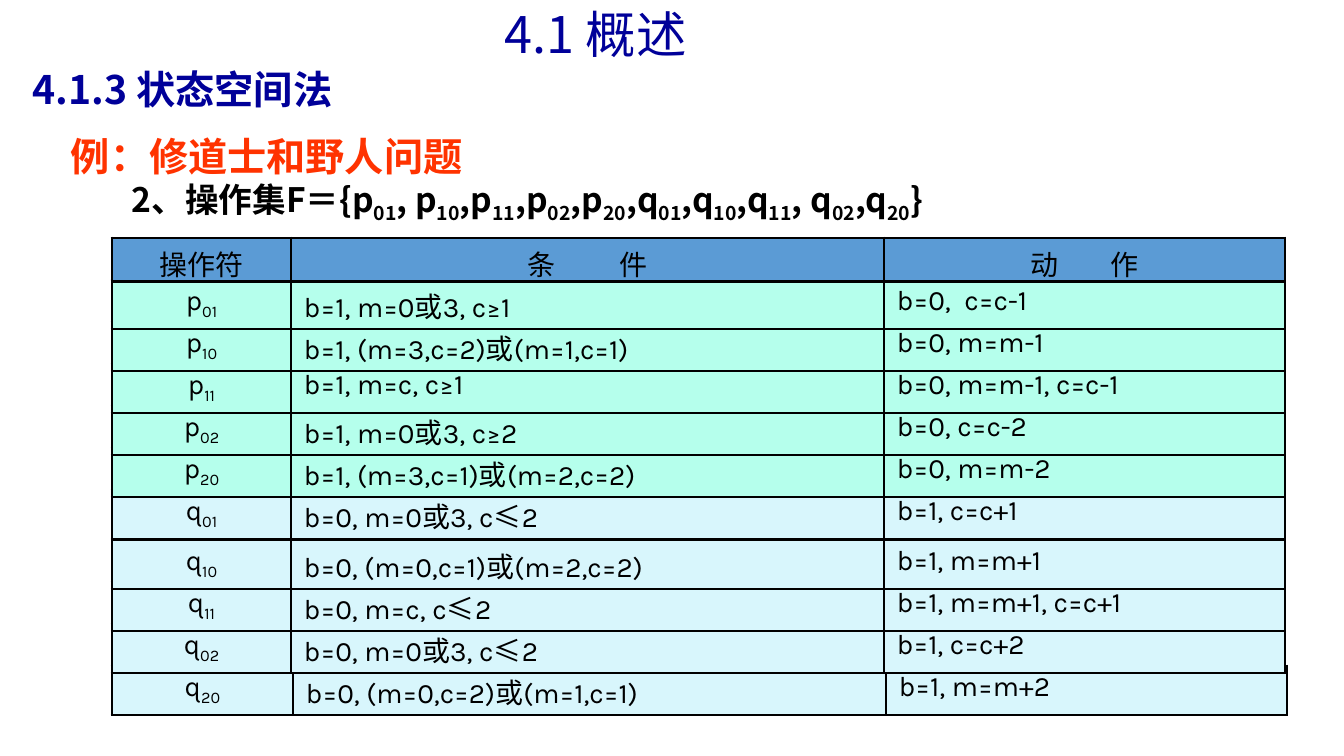
from itertools import groupby

from lxml.etree import SubElement as Sub
from pptx import Presentation
from pptx.dml.color import RGBColor as RGB
from pptx.enum.text import MSO_ANCHOR as Anchor, PP_ALIGN as Align
from pptx.oxml.ns import qn
from pptx.util import Pt

PX = 9071
SANS = "Noto Sans CJK SC"
SANS_JP = "Noto Sans CJK JP"
KARLA = "Karla"

NAVY = RGB(0x00, 0x00, 0x99)
RED = RGB(0xFF, 0x33, 0x00)
BLACK = RGB(0x00, 0x00, 0x00)
BLUE = RGB(0x5B, 0x9B, 0xD5)
MINT = RGB(0xB5, 0xFF, 0xEC)
ICE = RGB(0xD8, 0xF6, 0xFC)

THIN, THICK = 1, 2.25
LEFT, TOP, STEP, TALL = 112, 280, 42, 49
COLS = (179, 593, 401)
ROWS = [
    ("p_01_", "b=1, m=0或3, c≥1", "b=0,~c=c-1"),
    ("p_10_", "b=1, (m=3,c=2)或(m=1,c=1)", "b=0, m=m-1"),
    ("p_11_", "b=1, m=c, c≥1", "b=0, m=m-1, c=c-1"),
    ("p_02_", "b=1, m=0或3, c≥2", "b=0, c=c-2"),
    ("p_20_", "b=1, (m=3,c=1)或(m=2,c=2)", "b=0, m=m-2"),
    ("q_01_", "b=0, m=0或3, c≤2", "b=1, c=c+1"),
    ("q_10_", "b=0, (m=0,c=1)或(m=2,c=2)", "b=1, m=m+1"),
    ("q_11_", "b=0, m=c, c≤2", "b=1, m=m+1, c=c+1"),
    ("q_02_", "b=0, m=0或3, c≤2", "b=1, c=c+2"),
    ("q_20_", "b=0, (m=0,c=2)或(m=1,c=1)", "b=1, m=m+2"),
]


def write(frame, text, size=20, face=KARLA, color=BLACK, bold=False,
          align=Align.LEFT, lead=None, gap=5):
    par = frame.paragraphs[0]
    par.alignment = align
    if lead:
        par.line_spacing = lead
    for i, part in enumerate(text.split("_")):
        for mark, chars in groupby(part, lambda c: c if c in "≤~" else ""):
            run = par.add_run()
            run.text = " " if mark == "~" else "".join(chars)
            font = run.font
            font.size, font.bold = Pt(size), bold
            font.name = SANS if mark == "≤" else face
            font.color.rgb = color
            props = run._r.get_or_add_rPr()
            if i % 2:
                props.set("baseline", "-25000")
            if mark == "~":
                props.set("spc", str(gap * 100))
            east = SANS if face == KARLA else face
            Sub(props, qn("a:ea"), typeface=east)


def add_text(slide, text, x, y, w, h, anchor=Anchor.MIDDLE, **style):
    frame = slide.shapes.add_textbox(x * PX, y * PX, w * PX, h * PX).text_frame
    frame.word_wrap = True
    frame.vertical_anchor = anchor
    write(frame, text, **style)


def edge(cell, side, width):
    line = Sub(cell._tc.get_or_add_tcPr(), qn("a:ln" + side), w=str(Pt(width)))
    Sub(Sub(line, qn("a:solidFill")), qn("a:srgbClr"), val=str(BLACK))


def add_row(slide, texts, y, h, fill, cols=COLS, head=False):
    shape = slide.shapes.add_table(
        1, len(cols), LEFT * PX, y * PX, sum(cols) * PX, h * PX)
    table = shape.table
    table.first_row = table.horz_banding = False
    table.rows[0].height = h * PX
    last = len(cols) - 1
    for i, (text, width) in enumerate(zip(texts, cols)):
        table.columns[i].width = width * PX
        cell = table.cell(0, i)
        cell.margin_left = cell.margin_right = 13 * PX
        cell.margin_top = cell.margin_bottom = 5 * PX
        edge(cell, "L", THIN if i else THICK)
        edge(cell, "R", THICK if i == last else THIN)
        edge(cell, "T", THICK)
        edge(cell, "B", THICK)
        cell.fill.solid()
        cell.fill.fore_color.rgb = fill
        align = Align.CENTER if head or i == 0 else Align.LEFT
        write(cell.text_frame, text, align=align,
              gap=(0, 41, 32)[i] if head else 5)


def main():
    deck = Presentation()
    deck.slide_width, deck.slide_height = 1344 * PX, 756 * PX
    slide = deck.slides.add_slide(deck.slide_layouts[6])

    add_text(slide, "4.1.3 状态空间法", 23, 56, 907, 72,
             size=28, face=SANS, color=NAVY, bold=True, lead=0.9)
    add_text(slide, "4.1 概述", 142, 1, 907, 72, size=36, face=SANS,
             color=NAVY, align=Align.CENTER, lead=0.9)
    add_text(slide, "例：修道士和野人问题", 61, 127, 752, 57,
             anchor=Anchor.TOP, size=28, face=SANS_JP, color=RED, bold=True)
    add_text(slide, "2、操作集F＝{p_01_, p_10_,p_11_,p_02_,p_20_,"
             "q_01_,q_10_,q_11_, q_02_,q_20_}", 122, 158, 1175, 87,
             size=24, face=SANS, bold=True)

    for i, texts in reversed(list(enumerate(ROWS))):
        y = TOP + STEP * i + (8 if i > 5 else 0)
        cols = (181, *COLS[1:]) if i == len(ROWS) - 1 else COLS
        add_row(slide, texts, y, TALL, MINT if i < 5 else ICE, cols)
    add_row(slide, ("操作符", "条~件", "动~作"), 238, 43, BLUE, head=True)

    deck.save("out.pptx")


if __name__ == "__main__":
    main()
